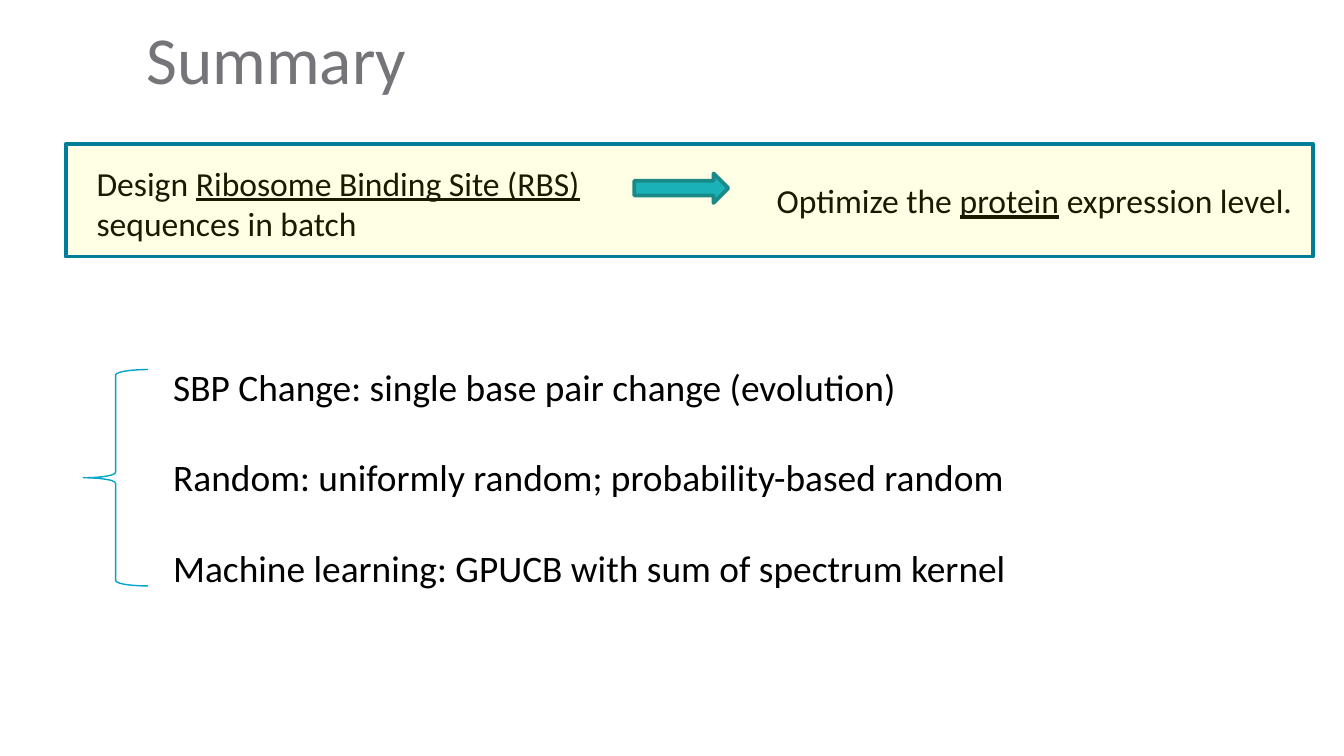
from lxml import etree
from pptx import Presentation
from pptx.dml.color import RGBColor
from pptx.enum.shapes import MSO_SHAPE as Shape
from pptx.enum.text import MSO_ANCHOR as Anchor, PP_ALIGN as Align
from pptx.oxml.ns import qn
from pptx.util import Inches, Pt

# Content: paragraphs are lists of (text, underlined) runs
TITLE = "Summary"
GOAL = [[("Design ", False), ("Ribosome Binding Site (RBS) ", True),
         ("sequences in batch", False)]]
RESULT = [[("Optimize the ", False), ("protein", True),
           (" expression level.", False)]]
METHODS = [
    [("SBP Change: single base pair change (evolution)", False)],
    [("Random: uniformly random; probability-based random", False)],
    [("Machine learning: GPUCB with sum of spectrum kernel", False)],
]

# Layout in inches on a 16:9 slide: left, top, width, height
WIDTH = 10
HEIGHT = WIDTH * 9 / 16
TITLE_BOX = (1.09, 0.12, 6.93, 0.7)
BANNER_BOX = (0.49, 1.07, 9.28, 0.84)
ARROW_BOX = (4.72, 1.29, 0.7, 0.22)
GOAL_BOX = (0.62, 1.16, 4.19, 0.71)
RESULT_BOX = (5.68, 1.29, 4.08, 0.4)
METHODS_BOX = (1.19, 2.66, 8.26, 1.78)
BRACE_BOX = (0.62, 2.75, 0.48, 1.61)

FONT = "Calibri"
BLACK, GREY, YELLOW = "000000", "757579", "FFFF00"
TEAL, CYAN, BRACE_BLUE = "007D98", "00A9CE", "00A5C9"


def color(value):
    return RGBColor.from_string(value)


def inches(box):
    return [Inches(length) for length in box]


def style(font, size, value):
    font.name, font.size = FONT, Pt(size)
    font.color.rgb = color(value)


def add_shape(kind, box, line, line_width, fill=None):
    shape = slide.shapes.add_shape(kind, *inches(box))
    shape.shadow.inherit = False
    if fill:
        shape.fill.solid()
        shape.fill.fore_color.rgb = color(fill)
    else:
        shape.fill.background()
    shape.line.color.rgb = color(line)
    shape.line.width = Pt(line_width)
    return shape


def add_text(box, paragraphs, size, gap=0, wrap=True):
    frame = slide.shapes.add_textbox(*inches(box)).text_frame
    frame.word_wrap = wrap
    for index, runs in enumerate(paragraphs):
        paragraph = frame.add_paragraph() if index else frame.paragraphs[0]
        paragraph.space_before = Pt(gap if index else 0)
        for text, underlined in runs:
            run = paragraph.add_run()
            run.text = text
            style(run.font, size, BLACK)
            run.font.underline = underlined


presentation = Presentation()
presentation.slide_width, presentation.slide_height = inches((WIDTH, HEIGHT))
slide = presentation.slides.add_slide(presentation.slide_layouts[5])

# Title
title = slide.shapes.title
title.left, title.top, title.width, title.height = inches(TITLE_BOX)
frame = title.text_frame
frame.text = TITLE
frame.margin_left = frame.margin_right = frame.margin_top = frame.margin_bottom = 0
frame.vertical_anchor = Anchor.MIDDLE
paragraph = frame.paragraphs[0]
paragraph.alignment, paragraph.line_spacing = Align.LEFT, 0.9
style(paragraph.runs[0].font, 36, GREY)

# Goal and result, tinted by a translucent banner in front
add_shape(Shape.RIGHT_ARROW, ARROW_BOX, TEAL, 2, CYAN)
add_text(GOAL_BOX, GOAL, 18)
add_text(RESULT_BOX, RESULT, 18, wrap=False)
banner = add_shape(Shape.RECTANGLE, BANNER_BOX, TEAL, 2, YELLOW)
fill_color = banner.fill._xPr.find(qn("a:solidFill"))[0]
etree.SubElement(fill_color, qn("a:alpha")).set("val", "10000")

# Methods with their brace
add_text(METHODS_BOX, METHODS, 20, gap=24.4)
add_shape(Shape.LEFT_BRACE, BRACE_BOX, BRACE_BLUE, 0.75)

presentation.save("out.pptx")
